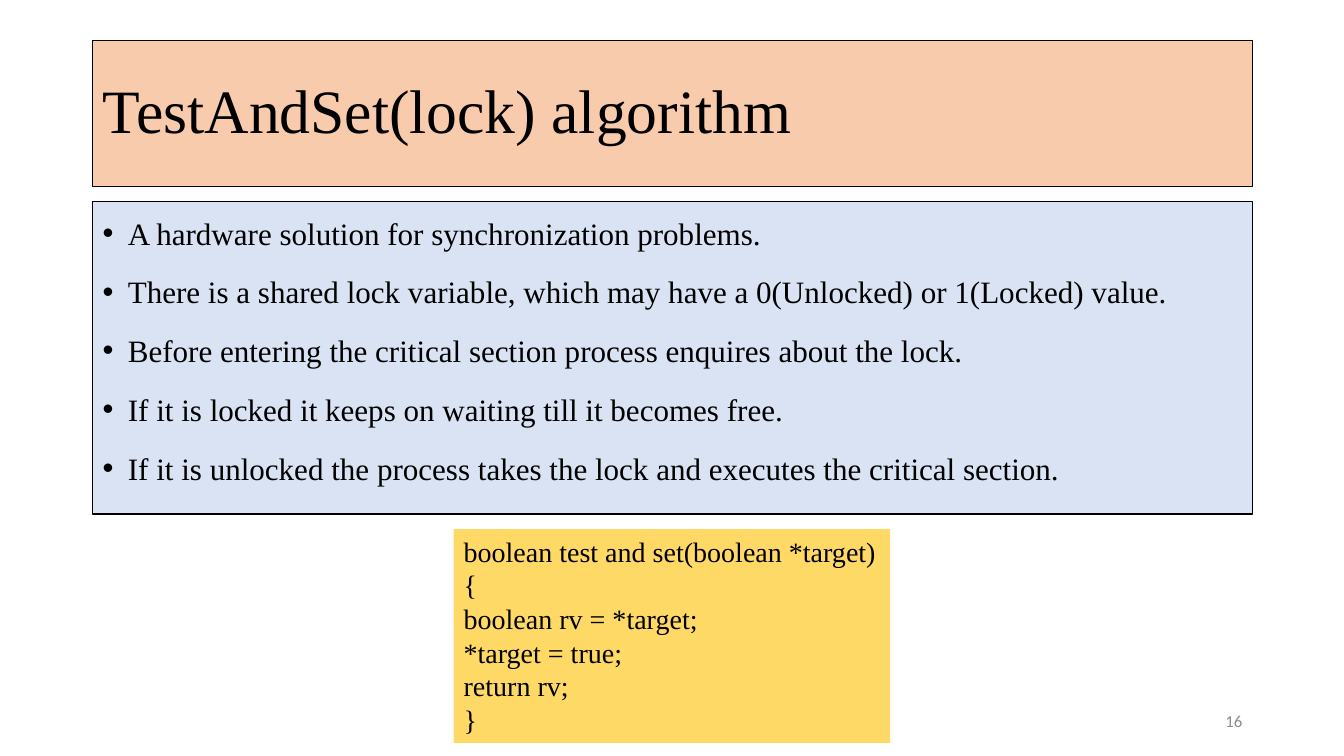
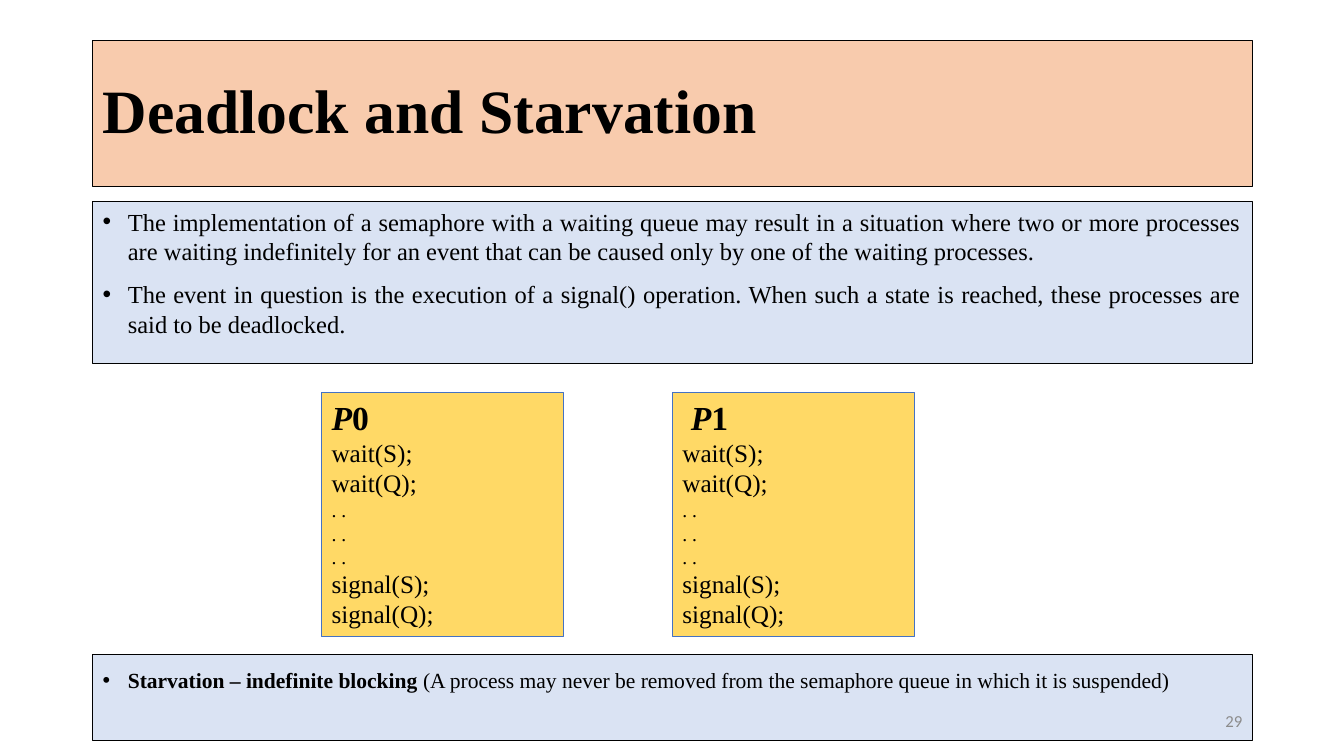
from dataclasses import dataclass

import lxml.etree
import pptx
import pptx.dml.color
import pptx.enum.shapes
import pptx.enum.text
import pptx.oxml.ns
import pptx.presentation
import pptx.shapes.autoshape
import pptx.slide
import pptx.text.text
import pptx.util

Inches = pptx.util.Inches
ALIGN = pptx.enum.text.PP_ALIGN
ANCHOR = pptx.enum.text.MSO_ANCHOR

# Shared look
BODY_FONT = "Times New Roman"
NUMBER_FONT = "Calibri"
BLACK = "000000"
GREY = "8C8C8C"
TITLE_FILL = "F8CBAD"
PANEL_FILL = "DAE3F3"
CODE_FILL = "FFD966"
CODE_LINE = "4472C4"
MARGIN = 0.92
CONTENT_WIDTH = 11.5
BULLET_INDENT = 0.25


@dataclass(frozen=True)
class Span:
    text: str
    bold: bool = False
    italic: bool = False


@dataclass(frozen=True)
class Line:
    spans: tuple[Span, ...]
    size: float


@dataclass(frozen=True)
class Box:
    left: float
    top: float
    width: float
    height: float
    fill: str
    outline: str | None
    lines: tuple[Line, ...]
    bulleted: bool = False
    spacing: float = 1.0


@dataclass(frozen=True)
class SlideContent:
    title: str
    title_bold: bool
    number: int
    boxes: tuple[Box, ...]


def color(value: str) -> pptx.dml.color.RGBColor:
    return pptx.dml.color.RGBColor.from_string(value)


def plain_lines(size: float, *texts: str) -> tuple[Line, ...]:
    return tuple(Line((Span(text),), size) for text in texts)


def panel(top: float, height: float, spacing: float, lines: tuple[Line, ...]) -> Box:
    """A full-width bulleted panel."""
    return Box(MARGIN, top, CONTENT_WIDTH, height, PANEL_FILL, BLACK, lines, True, spacing)


def process_box(index: int, heading: tuple[Span, ...]) -> Box:
    """The code of one of the two processes, placed at an equal step."""
    lines = (
        Line(heading, 24),
        *plain_lines(18, "wait(S);", "wait(Q);"),
        *plain_lines(14, *[". ."] * 3),
        *plain_lines(18, "signal(S);", "signal(Q);"),
    )
    return Box(3.19 + 3.48 * index, 3.89, 2.4, 2.42, CODE_FILL, CODE_LINE, lines)


def paint(shape: pptx.shapes.autoshape.Shape, fill: str, outline: str | None) -> None:
    shape.fill.solid()
    shape.fill.fore_color.rgb = color(fill)
    if outline is None:
        shape.line.fill.background()
    else:
        shape.line.color.rgb = color(outline)
        shape.line.width = pptx.util.Pt(0.75)


def format_font(
    font: pptx.text.text.Font, name: str, size: float, text_color: str,
    bold: bool = False, italic: bool = False,
) -> None:
    font.name = name
    font.size = pptx.util.Pt(size)
    font.color.rgb = color(text_color)
    font.bold = bold
    font.italic = italic


def add_bullet(paragraph: pptx.text.text._Paragraph) -> None:
    properties = paragraph._p.get_or_add_pPr()
    properties.set("marL", str(Inches(BULLET_INDENT)))
    properties.set("indent", str(-Inches(BULLET_INDENT)))
    qualified = pptx.oxml.ns.qn
    lxml.etree.SubElement(properties, qualified("a:buFont")).set("typeface", "Arial")
    lxml.etree.SubElement(properties, qualified("a:buChar")).set("char", "•")


def add_box(slide: pptx.slide.Slide, box: Box) -> None:
    shape = slide.shapes.add_shape(
        pptx.enum.shapes.MSO_SHAPE.RECTANGLE,
        Inches(box.left), Inches(box.top), Inches(box.width), Inches(box.height),
    )
    shape.shadow.inherit = False
    paint(shape, box.fill, box.outline)
    frame = shape.text_frame
    frame.word_wrap = True
    frame.vertical_anchor = ANCHOR.TOP
    for index, line in enumerate(box.lines):
        paragraph = frame.paragraphs[0] if index == 0 else frame.add_paragraph()
        paragraph.alignment = ALIGN.JUSTIFY if box.bulleted else ALIGN.LEFT
        paragraph.line_spacing = box.spacing
        if box.bulleted:
            paragraph.space_before = pptx.util.Pt(10)
            add_bullet(paragraph)
        for span in line.spans:
            run = paragraph.add_run()
            run.text = span.text
            format_font(run.font, BODY_FONT, line.size, BLACK, span.bold, span.italic)


def set_title(slide: pptx.slide.Slide, text: str, bold: bool) -> None:
    title = slide.shapes.title
    title.left, title.top = Inches(MARGIN), Inches(0.4)
    title.width, title.height = Inches(CONTENT_WIDTH), Inches(1.45)
    paint(title, TITLE_FILL, BLACK)
    frame = title.text_frame
    frame.text = text
    frame.word_wrap = True
    frame.auto_size = pptx.enum.text.MSO_AUTO_SIZE.NONE
    frame.vertical_anchor = ANCHOR.MIDDLE
    paragraph = frame.paragraphs[0]
    paragraph.alignment = ALIGN.LEFT
    paragraph.line_spacing = 0.9
    format_font(paragraph.runs[0].font, BODY_FONT, 44, BLACK, bold)


def add_slide_number(slide: pptx.slide.Slide, number: int) -> None:
    text_box = slide.shapes.add_textbox(Inches(9.42), Inches(6.95), Inches(3), Inches(0.4))
    frame = text_box.text_frame
    frame.text = str(number)
    frame.word_wrap = True
    frame.vertical_anchor = ANCHOR.MIDDLE
    paragraph = frame.paragraphs[0]
    paragraph.alignment = ALIGN.RIGHT
    format_font(paragraph.runs[0].font, NUMBER_FONT, 12, GREY)


def add_slide(presentation: pptx.presentation.Presentation, content: SlideContent) -> None:
    title_only = presentation.slide_layouts.get_by_name("Title Only")
    slide = presentation.slides.add_slide(title_only)
    set_title(slide, content.title, content.title_bold)
    for box in content.boxes:
        add_box(slide, box)
    add_slide_number(slide, content.number)


TEST_AND_SET = SlideContent(
    "TestAndSet(lock) algorithm", False, 16,
    (
        panel(2, 3.1, 1.2, plain_lines(
            22.2,
            "A hardware solution for synchronization problems.",
            "There is a shared lock variable, which may have a 0(Unlocked) or 1(Locked) value.",
            "Before entering the critical section process enquires about the lock.",
            "If it is locked it keeps on waiting till it becomes free.",
            "If it is unlocked the process takes the lock and executes the critical section.",
        )),
        Box(4.5, 5.25, 4.33, 2.12, CODE_FILL, None, plain_lines(
            20,
            "boolean test and set(boolean *target) {",
            "boolean rv = *target;",
            "*target = true;",
            "return rv;",
            "}",
        )),
    ),
)

DEADLOCK = SlideContent(
    "Deadlock and Starvation", True, 29,
    (
        panel(2, 1.61, 1.0, plain_lines(
            17.5,
            "The implementation of a semaphore with a waiting queue may result in a situation "
            "where two or more processes are waiting indefinitely for an event that can be "
            "caused only by one of the waiting processes. ",
            "The event in question is the execution of a signal() operation. When such a state "
            "is reached, these processes are said to be deadlocked.",
        )),
        process_box(0, (Span("P", True, True), Span("0", True))),
        process_box(1, (Span(" ", True), Span("P", True, True), Span("1", True))),
        panel(6.49, 0.86, 1.3, (
            Line((
                Span("Starvation – indefinite blocking ", True),
                Span("(A process may never be removed from the semaphore queue "
                     "in which it is suspended)"),
            ), 15.4),
        )),
    ),
)


def main() -> None:
    presentation = pptx.Presentation()
    presentation.slide_width = Inches(13.33)
    presentation.slide_height = Inches(7.5)
    for content in (TEST_AND_SET, DEADLOCK):
        add_slide(presentation, content)
    presentation.save("out.pptx")


if __name__ == "__main__":
    main()
